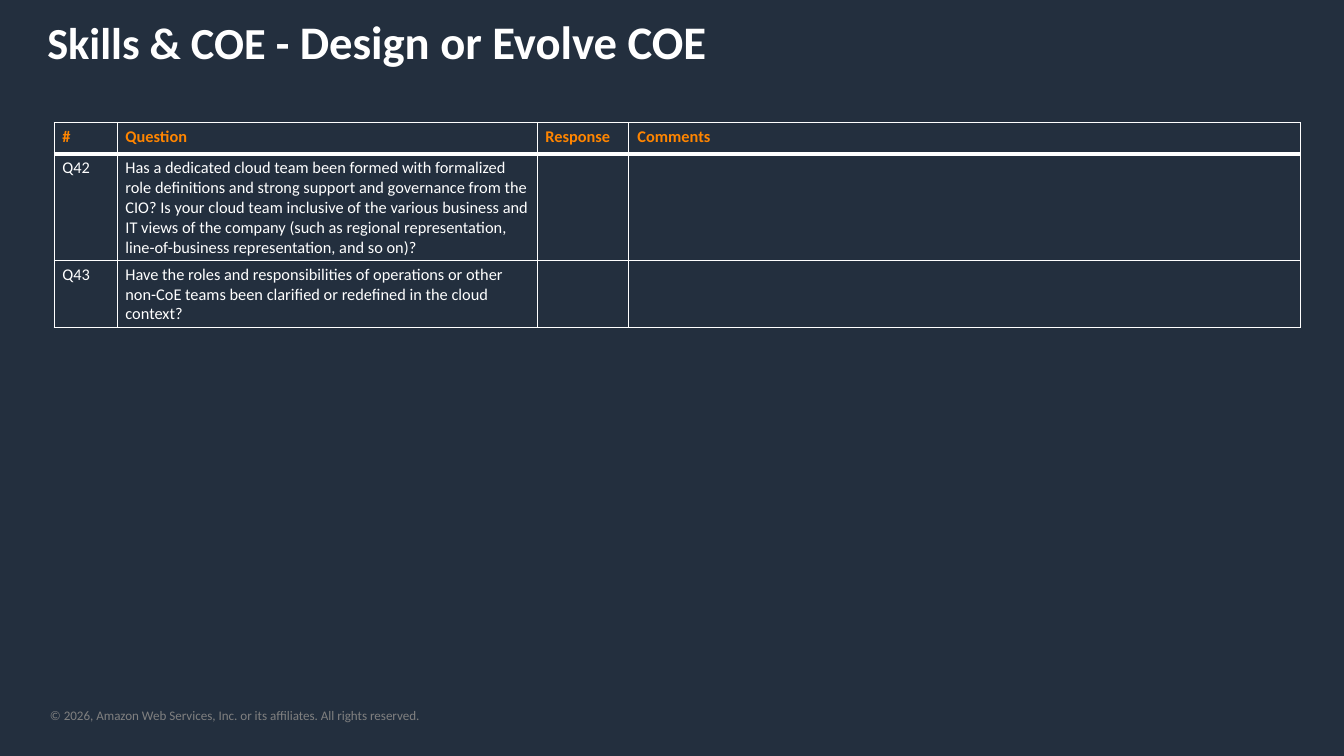
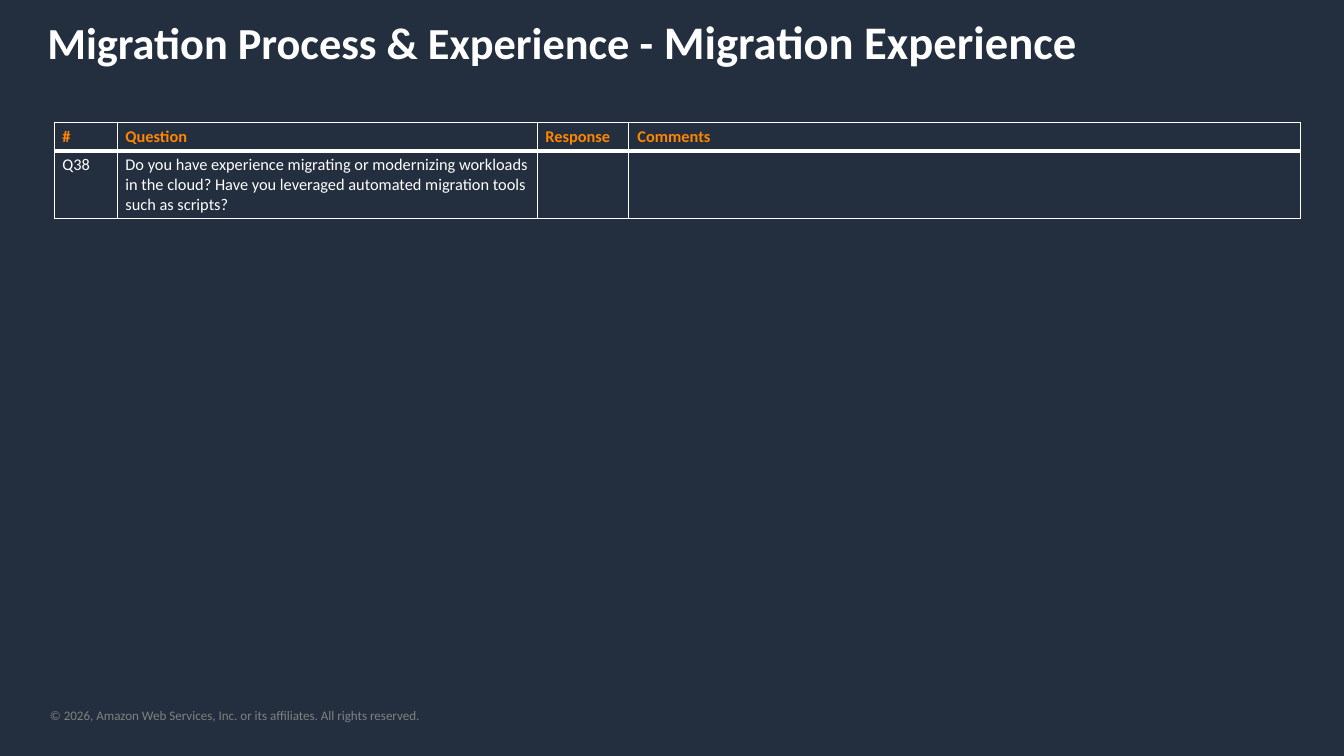
from dataclasses import dataclass

from lxml.etree import SubElement
from pptx import Presentation
from pptx.dml.color import RGBColor as Rgb
from pptx.enum.text import MSO_AUTO_SIZE as AutoSize
from pptx.oxml.ns import qn
from pptx.util import Emu, Pt


@dataclass(frozen=True)
class Theme:
    font: str = "Calibri"
    background: str = "232F3E"
    text: str = "FFFFFF"
    accent: str = "FF8500"
    muted: str = "808080"
    topic_size: float = 38
    subtopic_size: float = 40
    table_size: float = 14
    footer_size: float = 11.2
    thin_line: float = 1
    thick_line: float = 3


THEME = Theme()
FOOTER = "© 2026, Amazon Web Services, Inc. or its affiliates. All rights reserved."
HEADERS = ("#", "Question", "Response", "Comments")
COLUMN_WIDTHS = (63, 420, 92, 672)
BLANK_LAYOUT = 6

SLIDES = (
    {
        "topic": "Skills & COE - ",
        "subtopic": "Design or Evolve COE",
        "row_height": 31,
        "questions": (
            ("Q42", "Has a dedicated cloud team been formed with formalized role definitions "
                    "and strong support and governance from the CIO? Is your cloud team "
                    "inclusive of the various business and IT views of the company (such as "
                    "regional representation, line-of-business representation, and so on)?"),
            ("Q43", "Have the roles and responsibilities of operations or other non-CoE teams "
                    "been clarified or redefined in the cloud context?"),
        ),
    },
    {
        "topic": "Migration Process & Experience - ",
        "subtopic": "Migration Experience",
        "row_height": 23,
        "questions": (
            ("Q38", "Do you have experience migrating or modernizing workloads in the cloud? "
                    "Have you leveraged automated migration tools such as scripts?"),
        ),
    },
)


def px(length):
    return Emu(round(length * 914400 / 84))


def add_span(para, text, size, color, bold=False):
    span = para.add_run()
    span.text = text
    style = {"name": THEME.font, "size": Pt(size), "bold": bold}
    for name, value in style.items():
        setattr(span.font, name, value)
    span.font.color.rgb = Rgb.from_string(color)


def add_text_box(page, left, top, width, height, **frame_format):
    """Add a wrapping box and return its first paragraph."""
    frame = page.shapes.add_textbox(px(left), px(top), px(width), px(height)).text_frame
    settings = {"word_wrap": True, "auto_size": AutoSize.SHAPE_TO_FIT_TEXT, **frame_format}
    for name, value in settings.items():
        setattr(frame, name, value)
    return frame.paragraphs[0]


def add_footer(page):
    para = add_text_box(page, 50, 707, 654, 16, margin_left=0, margin_top=0,
                        margin_right=0, margin_bottom=0)
    add_span(para, FOOTER, THEME.footer_size, THEME.muted)


def add_title(page, topic, subtopic):
    para = add_text_box(page, 39, 9, 1282, 65)
    add_span(para, topic, THEME.topic_size, THEME.text, bold=True)
    add_span(para, subtopic, THEME.subtopic_size, THEME.text, bold=True)


def set_borders(cell, bottom_width):
    properties = cell._tc.get_or_add_tcPr()
    for side in "LRTB":
        width = bottom_width if side == "B" else THEME.thin_line
        line = SubElement(properties, qn(f"a:ln{side}"), w=str(Pt(width)))
        fill = SubElement(line, qn("a:solidFill"))
        SubElement(fill, qn("a:srgbClr"), val=THEME.text)


def fill_cell(cell, text, is_header):
    set_borders(cell, THEME.thick_line if is_header else THEME.thin_line)
    cell.fill.background()
    para = cell.text_frame.paragraphs[0]
    if text:
        color = THEME.accent if is_header else THEME.text
        add_span(para, text, THEME.table_size, color, bold=is_header)
    else:
        para.font.size = Pt(THEME.table_size)


def add_question_table(page, questions, row_height):
    rows = [HEADERS] + [(number, question, "", "") for number, question in questions]
    frame = page.shapes.add_table(len(rows), len(HEADERS), px(54), px(123),
                                  px(sum(COLUMN_WIDTHS)), px(row_height * len(rows)))
    table = frame.table
    table.horz_banding = False
    table.first_row = False
    for column, width in zip(table.columns, COLUMN_WIDTHS):
        column.width = px(width)
    for row_index, texts in enumerate(rows):
        table.rows[row_index].height = px(row_height)
        for column_index, text in enumerate(texts):
            fill_cell(table.cell(row_index, column_index), text, row_index == 0)


def main():
    deck = Presentation()
    deck.slide_width, deck.slide_height = px(1344), px(756)
    background = deck.slide_master.background.fill
    background.solid()
    background.fore_color.rgb = Rgb.from_string(THEME.background)
    for content in SLIDES:
        page = deck.slides.add_slide(deck.slide_layouts[BLANK_LAYOUT])
        add_footer(page)
        add_title(page, content["topic"], content["subtopic"])
        add_question_table(page, content["questions"], content["row_height"])
    deck.save("out.pptx")


if __name__ == "__main__":
    main()
